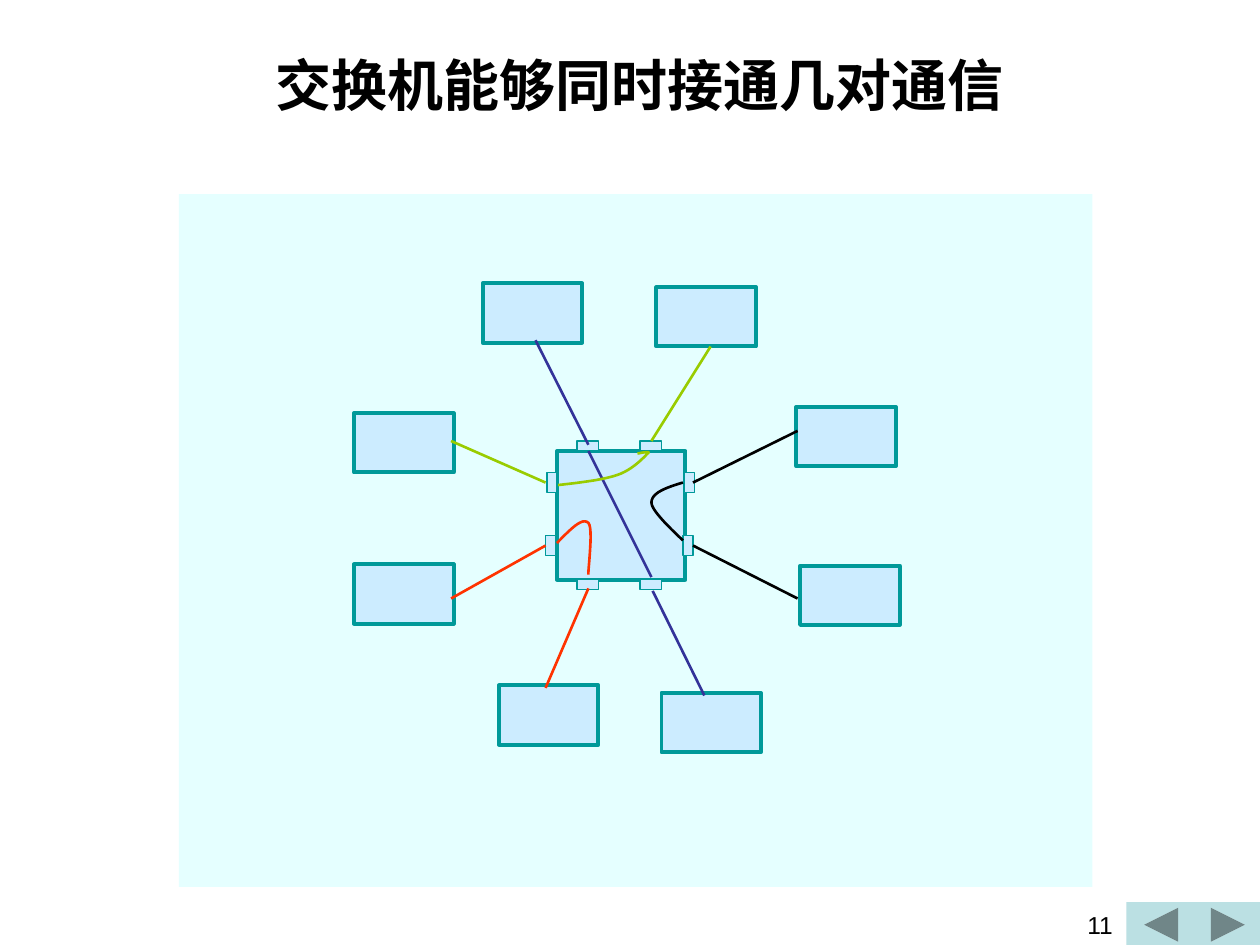
from lxml.etree import SubElement
from pptx import Presentation
from pptx.dml.color import RGBColor
from pptx.enum.shapes import MSO_CONNECTOR as CONN, MSO_SHAPE as SHAPE
from pptx.enum.text import MSO_ANCHOR as ANCHOR, PP_ALIGN as ALIGN
from pptx.oxml.ns import qn
from pptx.util import Inches, Pt

TITLE = "交换机能够同时接通几对通信"
PAGE = "11"
BOX_FILL, BOX_LINE = "CCECFF", "009999"
BLUE, RED, BLACK, GREEN = "333399", "FF3300", "000000", "99CC00"

BUTTONS = [
    (SHAPE.ACTION_BUTTON_BACK_OR_PREVIOUS, 8.94, 0.55),
    (SHAPE.ACTION_BUTTON_FORWARD_OR_NEXT, 9.49, 0.51),
]
PANEL = (1.42, 1.54, 7.25, 5.5)
SWITCH = (4.42, 3.58, 1.02, 1.02)
HOST_SIZE = (0.79, 0.47)
HOSTS = [(3.83, 2.25), (2.81, 4.48), (2.81, 3.28), (5.21, 2.28),
         (3.96, 5.44), (5.25, 5.5), (6.35, 4.49), (6.32, 3.23)]
PORTS = [(x, y, 0.17, 0.08) for y in (3.5, 4.6) for x in (4.58, 5.08)]
PORTS += [(x, y, 0.08, 0.16) for y, xs in ((3.75, (4.34, 5.43)), (4.25, (4.33, 5.42)))
          for x in xs]
CABLES = [
    (BLUE, (4.25, 2.7), (4.67, 3.53)),
    (BLUE, (5.18, 4.69), (5.59, 5.52)),
    (RED, (4.67, 4.67), (4.33, 5.46)),
    (BLACK, (5.5, 3.83), (6.33, 3.42)),
    (BLACK, (5.5, 4.33), (6.33, 4.75)),
    (RED, (3.58, 4.75), (4.33, 4.33)),
    (GREEN, (3.58, 3.5), (4.33, 3.83)),
    (GREEN, (5.64, 2.75), (5.17, 3.5)),
    (BLUE, (4.67, 3.58), (5.17, 4.58)),
]
# Each curve: start point, then two control points and an end point per segment
CURVES = [
    (GREEN, [(4.43, 3.85), (4.61, 3.83), (4.78, 3.81), (4.9, 3.77), (5.02, 3.73),
             (5.11, 3.63), (5.14, 3.6), (5.17, 3.58), (5.11, 3.59), (5.06, 3.6)]),
    (BLACK, [(5.42, 3.83), (5.29, 3.87), (5.17, 3.91), (5.17, 3.99),
             (5.17, 4.06), (5.37, 4.24), (5.42, 4.29)]),
    (RED, [(4.42, 4.31), (4.52, 4.21), (4.62, 4.1), (4.67, 4.15),
           (4.71, 4.19), (4.67, 4.49), (4.67, 4.56)]),
]
STEPS = 12


def rgb(value):
    """Turn a hex string into a colour."""
    return RGBColor.from_string(value)


def add_box(s, box, fill, line=None, width=0, kind=SHAPE.RECTANGLE):
    """Add a filled preset shape, outlined if a line colour is given."""
    sp = s.shapes.add_shape(kind, *map(Inches, box))
    sp.shadow.inherit = False
    sp.fill.solid()
    sp.fill.fore_color.rgb = rgb(fill)
    if line:
        sp.line.color.rgb = rgb(line)
        sp.line.width = Pt(width)
    else:
        sp.line.fill.background()
    return sp


def add_cable(s, color, start, end):
    """Add a straight cable."""
    sp = s.shapes.add_connector(CONN.STRAIGHT, *map(Inches, start + end))
    sp.line.color.rgb = rgb(color)
    sp.line.width = Pt(1.5)
    SubElement(sp._element.spPr, qn("a:effectLst"))


def bezier(points):
    """Return points along a chain of cubic curves."""
    result = [points[0]]
    for i in range(0, len(points) - 1, 3):
        for n in range(1, STEPS + 1):
            t = n / STEPS
            weights = ((1 - t) ** 3, 3 * t * (1 - t) ** 2, 3 * t * t * (1 - t), t ** 3)
            result.append(tuple(sum(w * p[axis] for w, p in zip(weights, points[i:i + 4]))
                                for axis in (0, 1)))
    return result


def add_curve(s, color, points):
    """Add a curved, unfilled path inside the switch."""
    trace = [(Inches(x), Inches(y)) for x, y in bezier(points)]
    builder = s.shapes.build_freeform(*trace[0])
    builder.add_line_segments(trace[1:], close=False)
    sp = builder.convert_to_shape()
    sp.shadow.inherit = False
    sp.fill.background()
    sp.line.color.rgb = rgb(color)
    sp.line.width = Pt(1.5)


def add_text(s, box, text, size, align, anchor, bold=False):
    """Add a one-paragraph text box."""
    tf = s.shapes.add_textbox(*map(Inches, box)).text_frame
    tf.word_wrap = True
    tf.vertical_anchor = anchor
    p = tf.paragraphs[0]
    p.text = text
    p.alignment = align
    p.font.name, p.font.size, p.font.bold = "Arial", Pt(size), bold
    p.font.color.rgb = rgb(BLACK)


prs = Presentation()
prs.slide_width, prs.slide_height = Inches(10), Inches(7.5)
s = prs.slides.add_slide(prs.slide_layouts[6])

for kind, left, width in BUTTONS:
    add_box(s, (left, 7.16, width, 0.36), "BBE0E3", kind=kind)
add_text(s, (0.83, 0.33, 8.5, 0.67), TITLE, 32, ALIGN.CENTER, ANCHOR.MIDDLE, True)

panel = add_box(s, PANEL, "CCFFFF")
panel_color = panel._element.spPr.find(qn("a:solidFill"))[0]
SubElement(panel_color, qn("a:alpha")).set("val", "50000")

for box in [SWITCH] + [host + HOST_SIZE for host in HOSTS]:
    add_box(s, box, BOX_FILL, BOX_LINE, 2.24)
for box in PORTS:
    add_box(s, box, BOX_FILL, BOX_LINE, 0.74)
for cable in CABLES:
    add_cable(s, *cable)
for curve in CURVES:
    add_curve(s, *curve)

add_text(s, (6.6, 7.17, 2.33, 0.21), PAGE, 14, ALIGN.RIGHT, ANCHOR.TOP)
prs.save("out.pptx")
